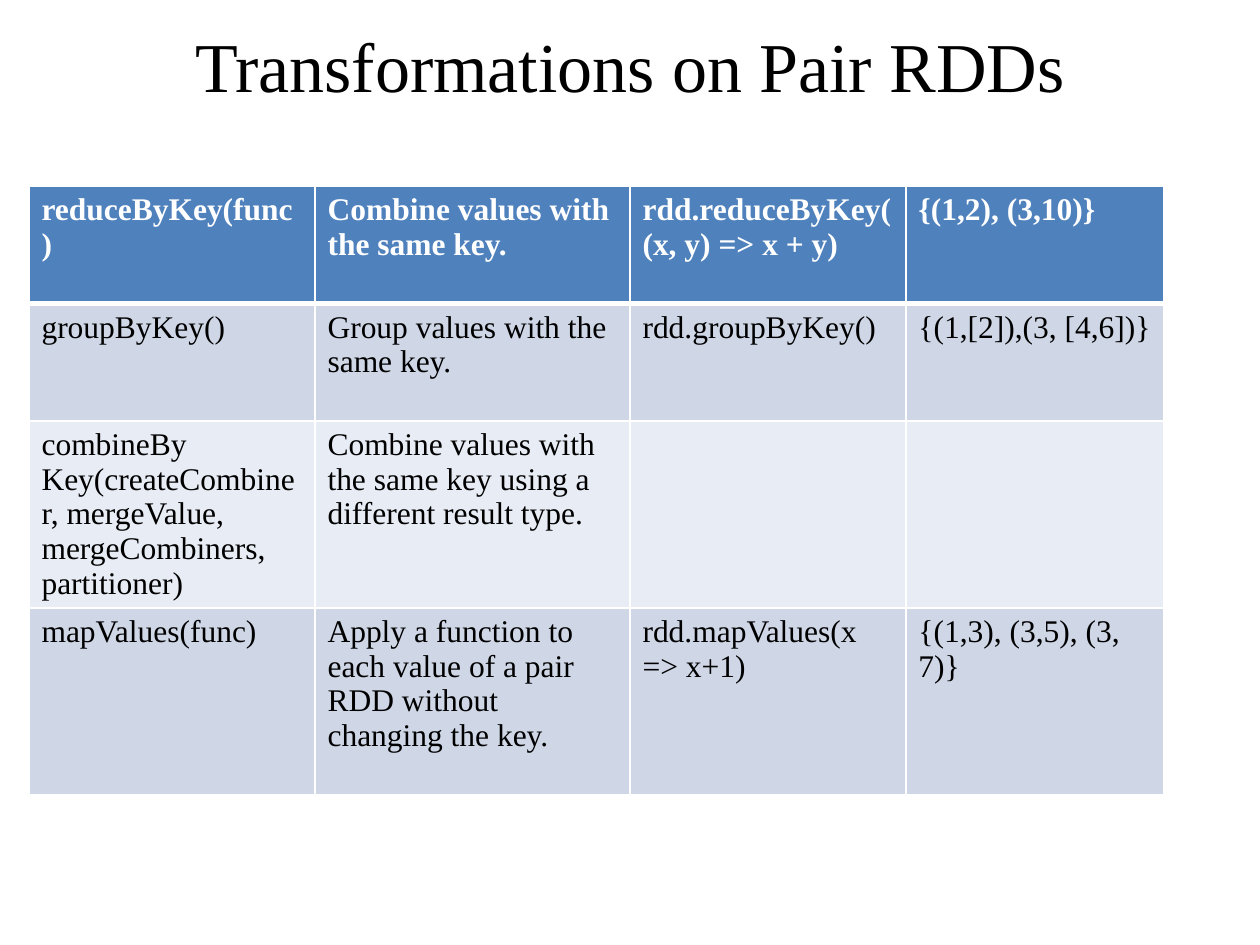
from pptx import Presentation
from pptx.dml.color import RGBColor
from pptx.enum.text import MSO_ANCHOR, PP_ALIGN
from pptx.oxml.ns import qn
from pptx.util import Inches, Pt
from lxml import etree

MIDDLE, TOP = MSO_ANCHOR.MIDDLE, MSO_ANCHOR.TOP
CENTER, LEFT = PP_ALIGN.CENTER, PP_ALIGN.LEFT

BLACK = RGBColor(0x00, 0x00, 0x00)
WHITE = RGBColor(0xFF, 0xFF, 0xFF)
HEADER_BLUE = RGBColor(0x4F, 0x81, 0xBD)
BAND_DARK = RGBColor(0xCF, 0xD7, 0xE7)
BAND_LIGHT = RGBColor(0xE8, 0xEC, 0xF4)
FONT = "Times New Roman"

COLUMN_WIDTHS = [2.27, 2.5, 2.19, 2.05]
ROW_HEIGHTS = [0.93, 0.93, 1.48, 1.48]

# Function, purpose, example, result; each line is a paragraph
TRANSFORMATIONS = [
    ["reduceByKey(func)", "Combine values with\nthe same key.",
     "rdd.reduceByKey(\n(x, y) => x + y)", "{(1,2), (3,10)}"],
    ["groupByKey()", "Group values with the\nsame key.",
     "rdd.groupByKey()", "{(1,[2]),(3, [4,6])}"],
    ["combineBy\nKey(createCombiner, mergeValue,\nmergeCombiners,\npartitioner)",
     "Combine values with\nthe same key using a\ndifferent result type.", "", ""],
    ["mapValues(func)",
     "Apply a function to\neach value of a pair\nRDD without\nchanging the key.",
     "rdd.mapValues(x => x+1)", "{(1,3), (3,5), (3, 7)}"],
]


def write_text(frame, text, size=18, color=BLACK, bold=False, align=LEFT):
    frame.text = text
    for paragraph in frame.paragraphs:
        paragraph.alignment = align
        font = paragraph.font
        font.name, font.size, font.bold = FONT, Pt(size), bold
        font.color.rgb = color
        for run in paragraph.runs:
            run.font.name, run.font.size, run.font.bold = FONT, Pt(size), bold
            run.font.color.rgb = color


def set_borders(cell, bottom_width):
    """Put white lines before the cell's fill, as the schema orders them."""
    properties = cell._tc.get_or_add_tcPr()
    widths = {"a:lnL": 1, "a:lnR": 1, "a:lnT": 1, "a:lnB": bottom_width}
    for position, (tag, width) in enumerate(widths.items()):
        line = etree.Element(qn(tag), w=str(Pt(width)))
        fill = etree.SubElement(line, qn("a:solidFill"))
        etree.SubElement(fill, qn("a:srgbClr"), val=str(WHITE))
        properties.insert(position, line)


def add_title(slide, text):
    title = slide.shapes.title
    title.left, title.top = Inches(0.5), Inches(0)
    title.width, title.height = Inches(9), Inches(1.02)
    write_text(title.text_frame, text, size=40, align=CENTER)
    title.text_frame.vertical_anchor = MIDDLE


def add_transformations_table(slide):
    table = slide.shapes.add_table(
        len(ROW_HEIGHTS), len(COLUMN_WIDTHS), Inches(0.23), Inches(1.48),
        Inches(sum(COLUMN_WIDTHS)), Inches(sum(ROW_HEIGHTS))).table
    for column, width in zip(table.columns, COLUMN_WIDTHS):
        column.width = Inches(width)
    for index, (row, height) in enumerate(zip(table.rows, ROW_HEIGHTS)):
        row.height = Inches(height)
        header = index == 0
        band = HEADER_BLUE if header else BAND_DARK if index % 2 else BAND_LIGHT
        for cell, text in zip(row.cells, TRANSFORMATIONS[index]):
            write_text(cell.text_frame, text, bold=header,
                       color=WHITE if header else BLACK)
            cell.vertical_anchor = TOP
            cell.fill.solid()
            cell.fill.fore_color.rgb = band
            # The thick line under the header is shared with the row below
            set_borders(cell, bottom_width=3 if header else 1)
            if index == 1:
                cell._tc.tcPr.find(qn("a:lnT")).set("w", str(Pt(3)))


def main():
    presentation = Presentation()
    presentation.slide_width = Inches(10)
    presentation.slide_height = Inches(7.5)
    title_only = presentation.slide_layouts[5]
    slide = presentation.slides.add_slide(title_only)
    add_title(slide, "Transformations on Pair RDDs")
    add_transformations_table(slide)
    presentation.save("out.pptx")


if __name__ == "__main__":
    main()
